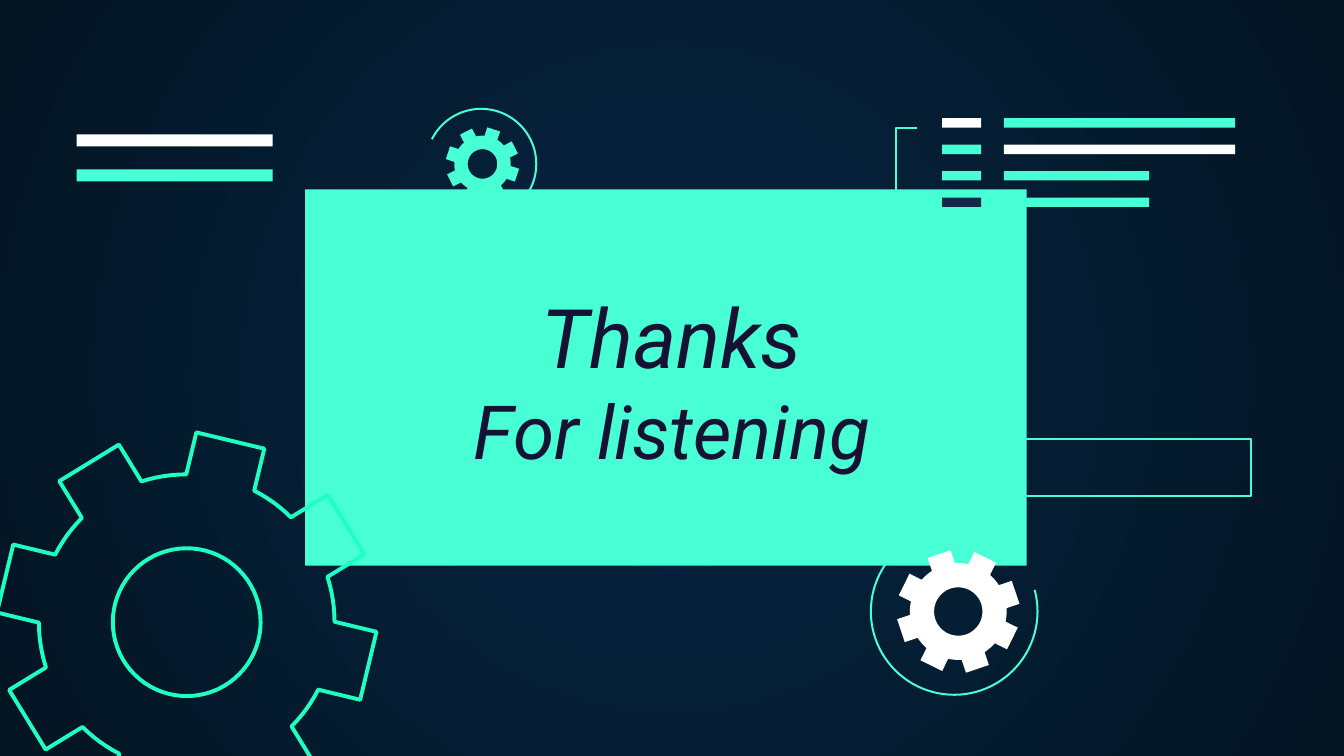
from math import asin, cos, degrees, hypot, radians, sin
from lxml import etree
from pptx import Presentation, util as u
from pptx.dml.color import RGBColor
from pptx.enum import shapes, text

HUES = {"mint": "48FFD5", "edge": "1EFFC1", "white": "FFFFFF", "navy": "0E2A47",
        "ink": "161234", "glow": "052643", "night": "041523"}
RGB = {name: RGBColor.from_string(hue) for name, hue in HUES.items()}
KIND = shapes.MSO_SHAPE

deck = Presentation()
deck.slide_width = u.Inches(10)
deck.slide_height = u.Inches(10 * 9 / 16)
slide = deck.slides.add_slide(deck.slide_layouts[5])

back = slide.background.fill
back.gradient()
for stop, hue, place in zip(back.gradient_stops, ("glow", "night"), (0, 1)):
    stop.color.rgb = RGB[hue]
    stop.position = place
ns = "{http://schemas.openxmlformats.org/drawingml/2006/main}"
lin = slide.element.find(f".//{ns}lin")
ring = etree.SubElement(lin.getparent(), ns + "path", path="circle")
etree.SubElement(ring, ns + "fillToRect", l="50000", t="50000", r="50000", b="50000")
lin.getparent().remove(lin)


def paint(shape, fill=None, line=None, width=1.09):
    shape.shadow.inherit = False
    if fill:
        shape.fill.solid()
        shape.fill.fore_color.rgb = RGB[fill]
    else:
        shape.fill.background()
    if line:
        shape.line.color.rgb = RGB[line]
        shape.line.width = u.Pt(width)
    else:
        shape.line.fill.background()


def write(frame, words, size, hue, first=False):
    par = frame.paragraphs[0] if first else frame.add_paragraph()
    par.alignment = text.PP_ALIGN.CENTER
    run = par.add_run()
    run.text = words
    run.font.name, run.font.size, run.font.italic = "Roboto", u.Pt(size), True
    run.font.color.rgb = RGB[hue]


bars = [(2.27, 1.41, 5.37, 2.8, "mint"),
        (0.57, 1, 1.46, 0.09, "white"), (0.57, 1.26, 1.46, 0.09, "mint")]
rows = [("white", "mint", 1.72), ("mint", "white", 1.72),
        ("mint", "mint", 1.08), ("navy", "mint", 1.08)]
for i, (key, hue, wide) in enumerate(rows):
    top = 0.88 + 0.59 * i / 3
    bars += [(7.01, top, 0.29, 0.07, key), (7.47, top, wide, 0.07, hue)]
for *box, hue in bars:
    paint(slide.shapes.add_shape(KIND.RECTANGLE, *map(u.Inches, box)), fill=hue)

frame = slide.shapes.add_shape(KIND.RECTANGLE, *map(u.Inches, (7.2, 3.27, 2.11, 0.42)))
paint(frame, line="mint")

hook = [(u.Inches(x), u.Inches(y)) for x, y in
        ((6.83, 1.56), (6.67, 1.56), (6.67, 0.95), (6.82, 0.95))]
pen = slide.shapes.build_freeform(*hook[0])
pen.add_line_segments(hook[1:], close=False)
paint(pen.convert_to_shape(), line="mint")

for x, y, rad, start, end in ((3.58, 1.22, 0.41, 206.6, 96), (7.1, 4.55, 0.62, 345, 233.5)):
    arc = slide.shapes.add_shape(KIND.ARC, u.Inches(x - rad), u.Inches(y - rad),
                                 u.Inches(2 * rad), u.Inches(2 * rad))
    arc.adjustments[0], arc.adjustments[1] = start * 0.6, end * 0.6
    paint(arc, line="mint")

gears = [
    (1.39, 4.63, 1.39, 1.1, 0.55, 0.26, 13.5, dict(line="edge", width=2.1)),
    (7.13, 4.55, 0.45, 0.36, 0.18, 0.09, 26.5, dict(fill="white")),
    (3.59, 1.22, 0.27, 0.21, 0.11, 0.05, 18, dict(fill="mint")),
]
for x, y, tip, root, hole, half, turn, look in gears:
    far = hypot(tip, half)
    base, peak = degrees(asin(half / root)), degrees(asin(half / far))
    rim = []
    for k in range(8):
        mid = turn + 45 * k
        rim += [(root, mid - base), (far, mid - peak), (far, mid + peak)]
        rim += [(root, mid + base + (45 - 2 * base) * j / 6) for j in range(6)]
    core = [(hole, -5 * k) for k in range(72)]
    loops = [[(u.Inches(x + r * cos(radians(a))), u.Inches(y + r * sin(radians(a))))
              for r, a in loop] for loop in (rim, core)]
    pen = slide.shapes.build_freeform(*loops[0][0])
    pen.add_line_segments(loops[0][1:])
    pen.move_to(*loops[1][0])
    pen.add_line_segments(loops[1][1:])
    paint(pen.convert_to_shape(), **look)

title = slide.shapes.title
title.left, title.top, title.width, title.height = map(u.Inches, (3.11, 2.03, 3.78, 1.55))
slide.shapes._spTree.append(title._element)
body = title.text_frame
body.word_wrap, body.auto_size = True, text.MSO_AUTO_SIZE.NONE
body.vertical_anchor = text.MSO_ANCHOR.TOP
body.margin_left = body.margin_right = body.margin_top = body.margin_bottom = u.Inches(0.1)
write(body, "Thanks", 44, "ink", first=True)
write(body, "For listening", 40, "ink")

deck.save("out.pptx")
